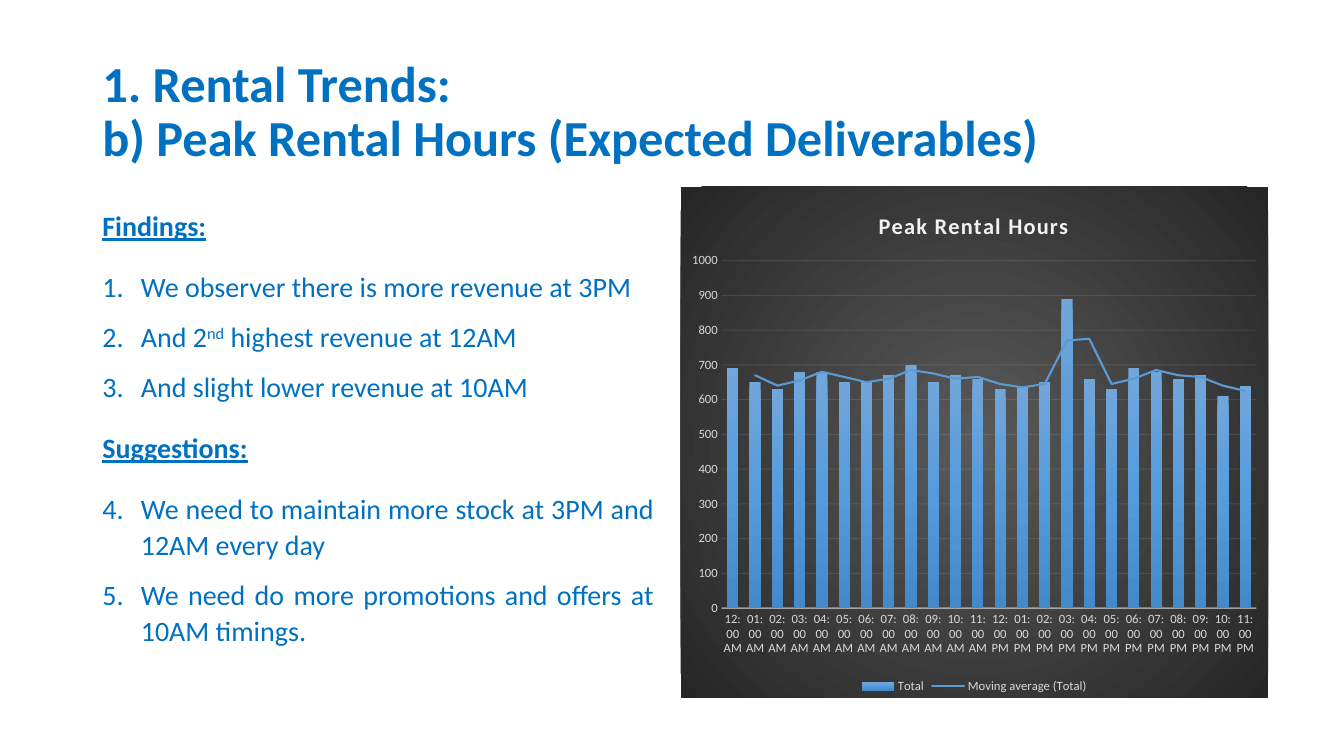
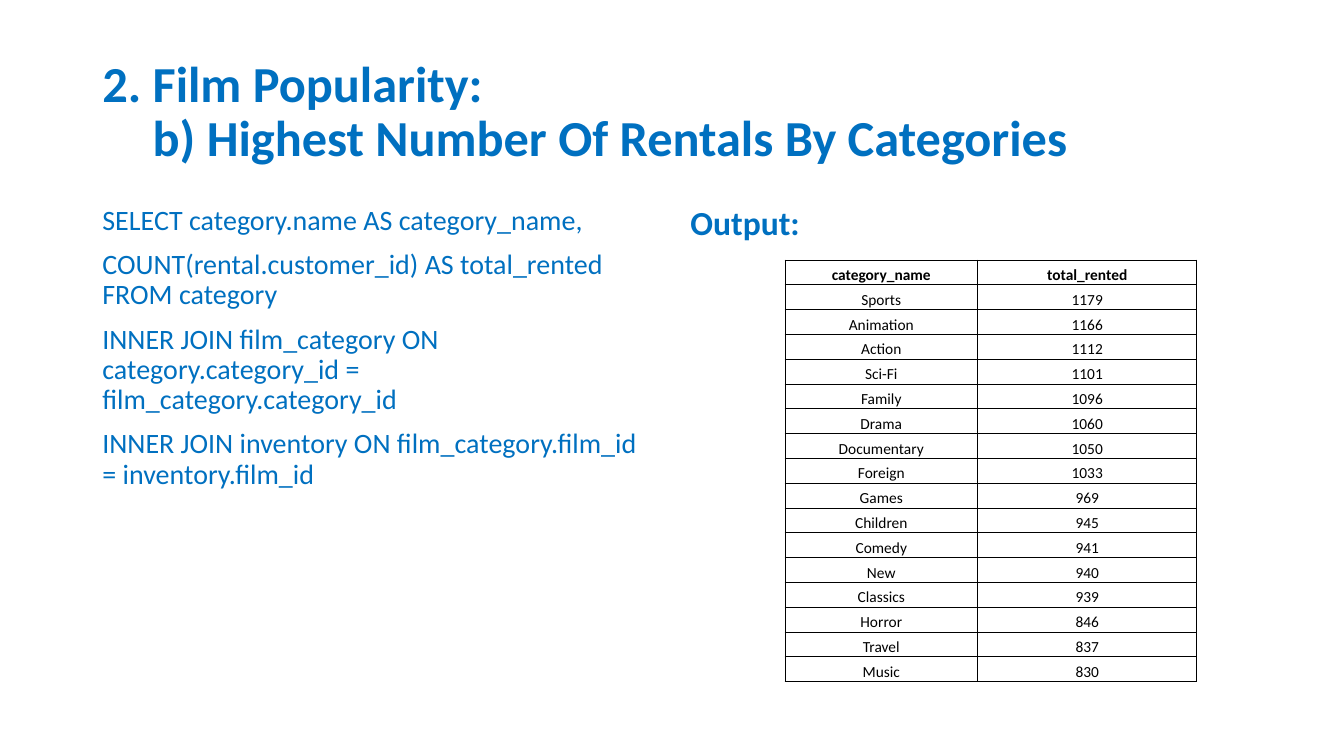
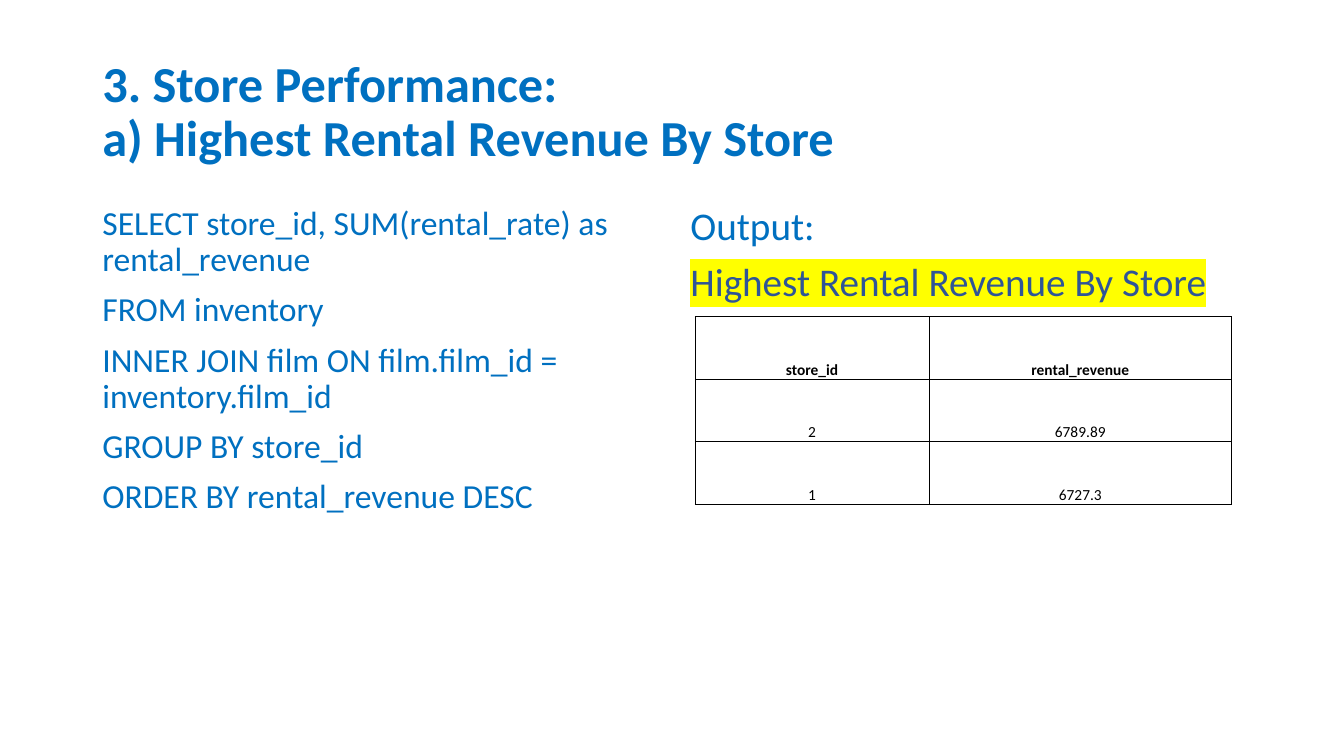
"""Build three film rental slides: peak hours, popular categories and store revenue."""
from pptx import Presentation as Deck
from pptx.chart.data import CategoryChartData as Data
from pptx.dml.color import RGBColor as Rgb
from pptx.enum.chart import XL_CHART_TYPE as Kind, XL_LEGEND_POSITION as Spot, XL_TICK_MARK as Tick
from pptx.enum.text import MSO_ANCHOR as Anchor, PP_ALIGN as Align
from pptx.oxml import parse_xml as make
from pptx.oxml.ns import nsdecls as decl, qn
from pptx.util import Cm, Pt

theme = dict(
    font="Calibri", blue=Rgb.from_string("0070C0"), navy=Rgb.from_string("2F5597"),
    black=Rgb.from_string("000000"), pale=Rgb.from_string("F2F2F2"),
    grey=Rgb.from_string("D9D9D9"), mark="FFFF00", trend="5B9BD5",
    title=Pt(36), large=Pt(28), mid=Pt(24), text=Pt(20), cell=Pt(11),
    head=Pt(16), label=Pt(9))
base = dict(name=theme["font"], rgb=theme["blue"], size=theme["text"], bold=False)
head = dict(base, size=theme["title"], bold=True)
tight = dict(line_spacing=0.9, space_before=Pt(10))
boxes = dict(title=(2.33, 1.01, 29.21, 3.68), left=(2.33, 5.07, 14.4, 12.09),
             right=(17.15, 5.07, 14.4, 12.09), chart=(17.15, 4.7, 14.81, 12.88))


def dress(item, vals):
    """Set each value on the item; rgb goes to its colour."""
    for key, val in vals.items():
        setattr(item.color if key == "rgb" else item, key, val)


def write(slide, box, paras, anchor=Anchor.TOP):
    """Add a text box of (text, font, layout, first number); carets fence superscripts."""
    frame = slide.shapes.add_textbox(*map(Cm, boxes[box])).text_frame
    dress(frame, dict(word_wrap=True, vertical_anchor=anchor))
    for pos, (text, font, form, num) in enumerate(paras):
        para = frame.add_paragraph() if pos else frame.paragraphs[0]
        dress(para, form)
        if num:
            props = para._p.get_or_add_pPr()
            props.set("marL", str(Cm(0.97)))
            props.set("indent", str(-Cm(0.97)))
            props.append(make(f'<a:buAutoNum {decl("a")} type="arabicPeriod" startAt="{num}"/>'))
        for row, line in enumerate(text.split("\n")):
            if row:
                para.add_line_break()
            for part, words in enumerate(line.split("^")):
                run = para.add_run()
                run.text = words
                dress(run.font, font)
                if part % 2:
                    run._r.get_or_add_rPr().set("baseline", "30000")
    return frame


deck = Deck()
dress(deck, dict(slide_width=Cm(33.87), slide_height=Cm(19.05)))
titles = ["1. Rental Trends:\nb) Peak Rental Hours (Expected Deliverables)",
          "2. Film Popularity:\n\tb) Highest Number Of Rentals By Categories",
          "3. Store Performance:\na) Highest Rental Revenue By Store"]
slides = []
for title in titles:
    slide = deck.slides.add_slide(deck.slide_layouts[6])
    write(slide, "title", [(title, head, dict(line_spacing=0.9), None)], Anchor.MIDDLE)
    slides.append(slide)

loose = dict(line_spacing=1.07, space_before=Pt(10), alignment=Align.JUSTIFY)
last = dict(loose, space_after=Pt(8))
topic = dict(base, bold=True, underline=True)
groups = [("Findings:", 1, ["We observer there is more revenue at 3PM",
                            "And 2^nd^ highest revenue at 12AM",
                            "And slight lower revenue at 10AM"]),
          ("Suggestions:", 4, ["We need to maintain more stock at 3PM and 12AM every day",
                               "We need do more promotions and offers at 10AM timings."])]
paras = []
for name, num, points in groups:
    paras.append((name, topic, last, None))
    paras += [(point, base, last if point == points[-1] else loose, num) for point in points]
write(slides[0], "left", paras)

data = Data()
data.categories = [f"{hour:02}:00 {half}" for half in ("AM", "PM") for hour in (12, *range(1, 12))]
data.add_series("Total", [690, 650, 630, 680, 680, 650, 650, 670, 700, 650, 670, 660,
                          630, 640, 650, 890, 660, 630, 690, 680, 660, 670, 610, 640])
chart = slides[0].shapes.add_chart(
    Kind.COLUMN_CLUSTERED, *map(Cm, boxes["chart"]), data).chart
dress(chart.font, dict(name=theme["font"], size=Pt(10), rgb=theme["black"]))
dress(chart, dict(has_title=True, has_legend=True))
plot = chart.plots[0]
dress(plot, dict(gap_width=100, overlap=-24, vary_by_categories=False))
label = dict(name=theme["font"], size=theme["label"], rgb=theme["grey"])
dress(chart.legend, dict(position=Spot.BOTTOM, include_in_layout=False))
dress(chart.legend.font, label)

run = chart.chart_title.text_frame.paragraphs[0].add_run()
run.text = "Peak Rental Hours"
dress(run.font, dict(name=theme["font"], size=theme["head"], bold=True, rgb=theme["pale"]))
run._r.get_or_add_rPr().set("spc", "100")

hours, total = chart.category_axis, chart.value_axis
dress(total, dict(minimum_scale=0, maximum_scale=1000, major_unit=100, has_major_gridlines=True))
total.format.line.fill.background()
lines = [(hours, hours.format.line, 1, 54), (total, total.major_gridlines.format.line, 0.75, 10)]
for axis, line, width, alpha in lines:
    dress(line, dict(rgb=theme["pale"], width=Pt(width)))
    for tint in axis._element.iter(qn("a:srgbClr")):
        tint.append(make(f'<a:alpha {decl("a")} val="{alpha * 1000}"/>'))
    dress(axis, dict(major_tick_mark=Tick.NONE, minor_tick_mark=Tick.NONE))
    dress(axis.tick_labels.font, label)
    axis._element.find(qn("c:txPr")).find(qn("a:bodyPr")).set("rot", "-60000000")

fills = []
for stops, shade in [
        ([(0, "595959"), (100, "262626")],
         '<a:path path="circle"><a:fillToRect l="50000" t="50000" r="50000" b="50000"/></a:path>'),
        ([(0, "71A6DB"), (50, "559BDB"), (100, "448ACA")], '<a:lin ang="5400000" scaled="0"/>')]:
    marks = "".join(f'<a:gs pos="{pos * 1000}"><a:srgbClr val="{tint}"/></a:gs>'
                    for pos, tint in stops)
    fills.append(make(f'<a:gradFill {decl("a")}><a:gsLst>{marks}</a:gsLst>{shade}</a:gradFill>'))
back = make(f'<c:spPr {decl("c", "a")}><a:ln><a:noFill/></a:ln></c:spPr>')
back.insert(0, fills[0])
chart._chartSpace.find(qn("c:chart")).addnext(back)
bars = plot.series[0]._element
bars.get_or_add_spPr().append(fills[1])
bars.find(qn("c:cat")).addprevious(make(
    f'<c:trendline {decl("c", "a")}><c:spPr><a:ln w="{Pt(1.5)}" cap="rnd"><a:solidFill>'
    f'<a:srgbClr val="{theme["trend"]}"/></a:solidFill></a:ln></c:spPr>'
    '<c:trendlineType val="movingAvg"/><c:period val="2"/><c:dispRSqr val="0"/>'
    '<c:dispEq val="0"/></c:trendline>'))

area = chart._chartSpace.find(qn("c:chart"))
for node, sizes in [(area.find(qn("c:plotArea")), dict(x=0.07, y=0.145, w=0.91, h=0.68)),
                    (area.find(qn("c:title")), dict(x=0.33, y=0.04))]:
    for old in node.findall(qn("c:layout")):
        node.remove(old)
    rows = '<c:layoutTarget val="inner"/>' if "w" in sizes else ""
    rows += "".join(f'<c:{key}Mode val="edge"/>' for key in "xy")
    rows += "".join(f'<c:{key} val="{val}"/>' for key, val in sizes.items())
    spot = make(f'<c:layout {decl("c")}><c:manualLayout>{rows}</c:manualLayout></c:layout>')
    text = node.find(qn("c:tx"))
    if text is None:
        node.insert(0, spot)
    else:
        text.addnext(spot)

films = [("category_name", "total_rented"), ("Sports", "1179"), ("Animation", "1166"),
         ("Action", "1112"), ("Sci-Fi", "1101"), ("Family", "1096"), ("Drama", "1060"),
         ("Documentary", "1050"), ("Foreign", "1033"), ("Games", "969"), ("Children", "945"),
         ("Comedy", "941"), ("New", "940"), ("Classics", "939"), ("Horror", "846"),
         ("Travel", "837"), ("Music", "830")]
stores = [("store_id", "rental_revenue"), ("2", "6789.89"), ("1", "6727.3")]
large = dict(base, size=theme["large"])
pages = [
    (slides[1], theme["text"],
     ["SELECT category.name AS category_name,",
      "COUNT(rental.customer_id) AS total_rented FROM category",
      "INNER JOIN film_category ON category.category_id = film_category.category_id",
      "INNER JOIN inventory ON film_category.film_id = inventory.film_id"],
     [("Output:", dict(base, size=theme["mid"], bold=True))],
     films, (19.78, 6.55), (4.86, 5.52), 10.64),
    (slides[2], theme["mid"],
     ["SELECT store_id, SUM(rental_rate) as rental_revenue", "FROM inventory",
      "INNER JOIN film ON film.film_id = inventory.film_id",
      "GROUP BY store_id", "ORDER BY rental_revenue DESC"],
     [("Output:", large), ("Highest Rental Revenue By Store", dict(large, rgb=theme["navy"]))],
     stores, (17.52, 7.98), (5.89, 7.63), 4.73)]
for slide, size, query, notes, cells, place, widths, tall in pages:
    write(slide, "left", [(line, dict(base, size=size), tight, None) for line in query])
    table = slide.shapes.add_table(len(cells), len(widths), *map(Cm, place),
                                   Cm(sum(widths)), Cm(tall)).table
    dress(table, dict(first_row=False, horz_banding=False))
    for col, width in zip(table.columns, widths):
        col.width = Cm(width)
    for row, texts in enumerate(cells):
        table.rows[row].height = Cm(tall / len(cells))
        for col, text in enumerate(texts):
            cell = table.cell(row, col)
            dress(cell, dict(vertical_anchor=Anchor.BOTTOM, margin_left=Cm(0.02),
                             margin_right=Cm(0.02), margin_top=Cm(0.02), margin_bottom=0))
            para = cell.text_frame.paragraphs[0]
            para.alignment = Align.CENTER
            run = para.add_run()
            run.text = text
            dress(run.font, dict(base, size=theme["cell"], rgb=theme["black"], bold=row == 0))
            for side in "LRTB":
                cell._tc.get_or_add_tcPr().append(make(
                    f'<a:ln{side} {decl("a")} w="{Pt(0.5)}"><a:solidFill>'
                    f'<a:srgbClr val="{theme["black"]}"/></a:solidFill></a:ln{side}>'))
            cell.fill.background()
    frame = write(slide, "right", [(text, font, tight, None) for text, font in notes])

glow = make(f'<a:highlight {decl("a")}><a:srgbClr val="{theme["mark"]}"/></a:highlight>')
frame.paragraphs[1].runs[0]._r.rPr.find(qn("a:solidFill")).addnext(glow)
deck.save("out.pptx")
